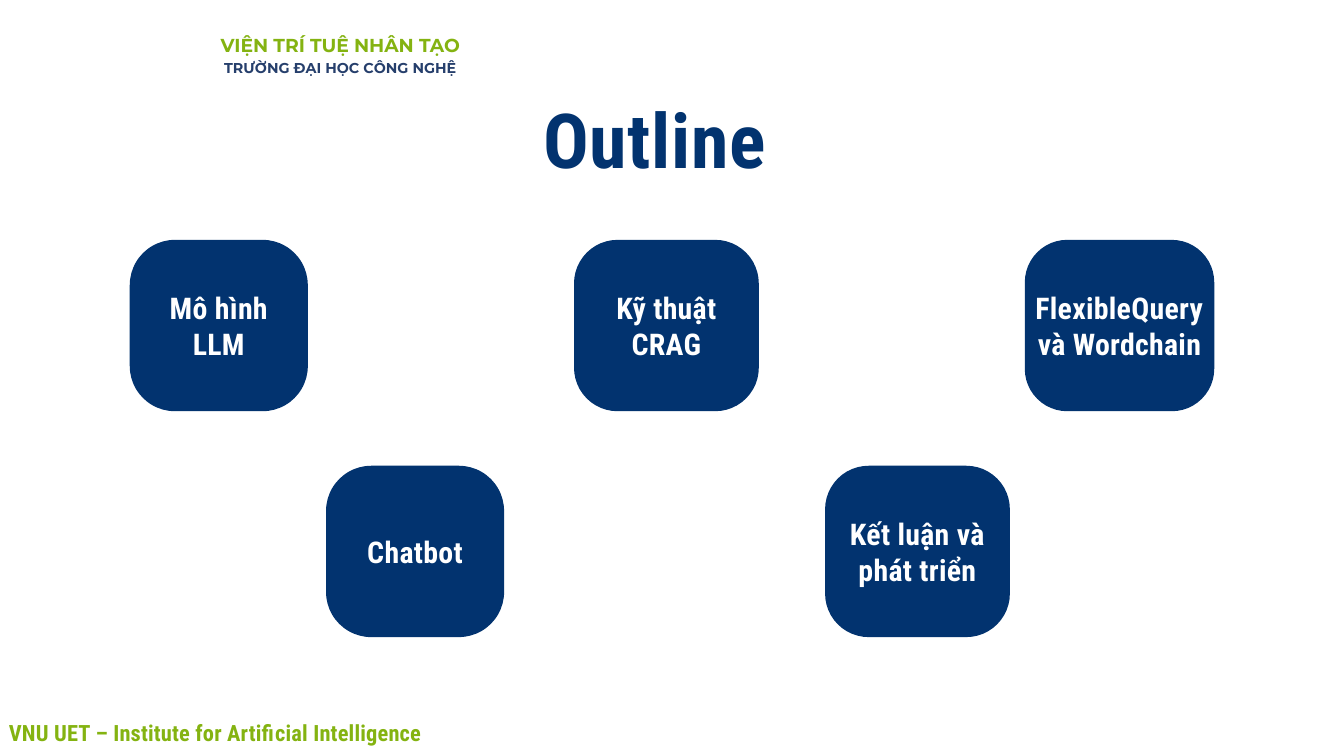
from pptx import Presentation
from pptx.dml.color import RGBColor
from pptx.enum.shapes import MSO_SHAPE
from pptx.enum.text import MSO_ANCHOR, PP_ALIGN
from pptx.util import Pt

ROUNDED = MSO_SHAPE.ROUNDED_RECTANGLE
TOP, MIDDLE = MSO_ANCHOR.TOP, MSO_ANCHOR.MIDDLE
LEFT, CENTER = PP_ALIGN.LEFT, PP_ALIGN.CENTER

NAVY, GREEN, SLATE, WHITE = "02336F", "84B311", "263F6C", "FFFFFF"
ROBOTO, MONTSERRAT = "Roboto Condensed", "Montserrat"

CARD_HEIGHT = 183.6
CORNER_PRODUCT = 9240
ROW_1, ROW_2 = 257, 499
CARDS = [
    (139, ROW_1, 190.8, ["Mô hình", "LLM"]),
    (615, ROW_1, 198, ["Kỹ thuật", "CRAG"]),
    (1098, ROW_1, 203, ["FlexibleQuery và Wordchain"]),
    (349.3, ROW_2, 190.8, ["Chatbot"]),
    (884, ROW_2, 198, ["Kết luận và phát triển"]),
]


def rgb(color):
    """Turn a hex string into a colour."""
    return RGBColor.from_string(color)


def add_text(s, box, lines, align=CENTER, anchor=TOP, inset=0, indent=0):
    """Add a text box; each line is (text, size, leading, font, colour, spacing)."""
    tf = s.shapes.add_textbox(*map(Pt, box)).text_frame
    tf.word_wrap = True
    tf.vertical_anchor = anchor
    tf.margin_left = Pt(inset + indent)
    tf.margin_top = tf.margin_right = tf.margin_bottom = Pt(inset)
    tf.text = "\n".join(line[0] for line in lines)
    for p, (_, size, leading, font, color, spacing) in zip(tf.paragraphs, lines):
        p.alignment = align
        p.line_spacing = Pt(leading)
        r = p.runs[0]
        r.font.name = font
        r.font.size = Pt(size)
        r.font.bold = True
        r.font.color.rgb = rgb(color)
        r._r.get_or_add_rPr().set("spc", str(round(spacing * 100)))


def add_card(s, left, top, width, texts):
    """Add a rounded navy card with a centred white label."""
    box = (left, top, width, CARD_HEIGHT)
    sp = s.shapes.add_shape(ROUNDED, *map(Pt, box))
    sp.adjustments[0] = CORNER_PRODUCT / width / CARD_HEIGHT
    sp.shadow.inherit = False
    sp.fill.solid()
    sp.fill.fore_color.rgb = rgb(NAVY)
    sp.line.fill.background()
    lines = [(text, 32, 38.4, ROBOTO, WHITE, 0.3) for text in texts]
    add_text(s, box, lines, anchor=MIDDLE, inset=4)


def main():
    """Build the outline slide."""
    prs = Presentation()
    prs.slide_width, prs.slide_height = Pt(1440), Pt(810)
    s = prs.slides.add_slide(prs.slide_layouts[6])
    s.background.fill.solid()
    s.background.fill.fore_color.rgb = rgb(WHITE)

    footer = "VNU UET – Institute for Artificial Intelligence"
    add_text(s, (0, 766, 1440, 44.6),
             [(footer, 24, 28.8, ROBOTO, GREEN, 0.2)],
             align=LEFT, inset=4, indent=5.5)
    add_text(s, (220.3, 109.4, 962.6, 89.3),
             [("Outline", 81.3, 87.8, ROBOTO, NAVY, 0.8)])
    add_text(s, (228.2, 32.4, 272.9, 48.2),
             [("VIỆN TRÍ TUỆ NHÂN TẠO", 20.1, 28.2, MONTSERRAT, GREEN, 0),
              ("TRƯỜNG ĐẠI HỌC CÔNG NGHỆ", 15.3, 21.4, MONTSERRAT, SLATE, 0)])
    for card in CARDS:
        add_card(s, *card)
    prs.save("out.pptx")


if __name__ == "__main__":
    main()
